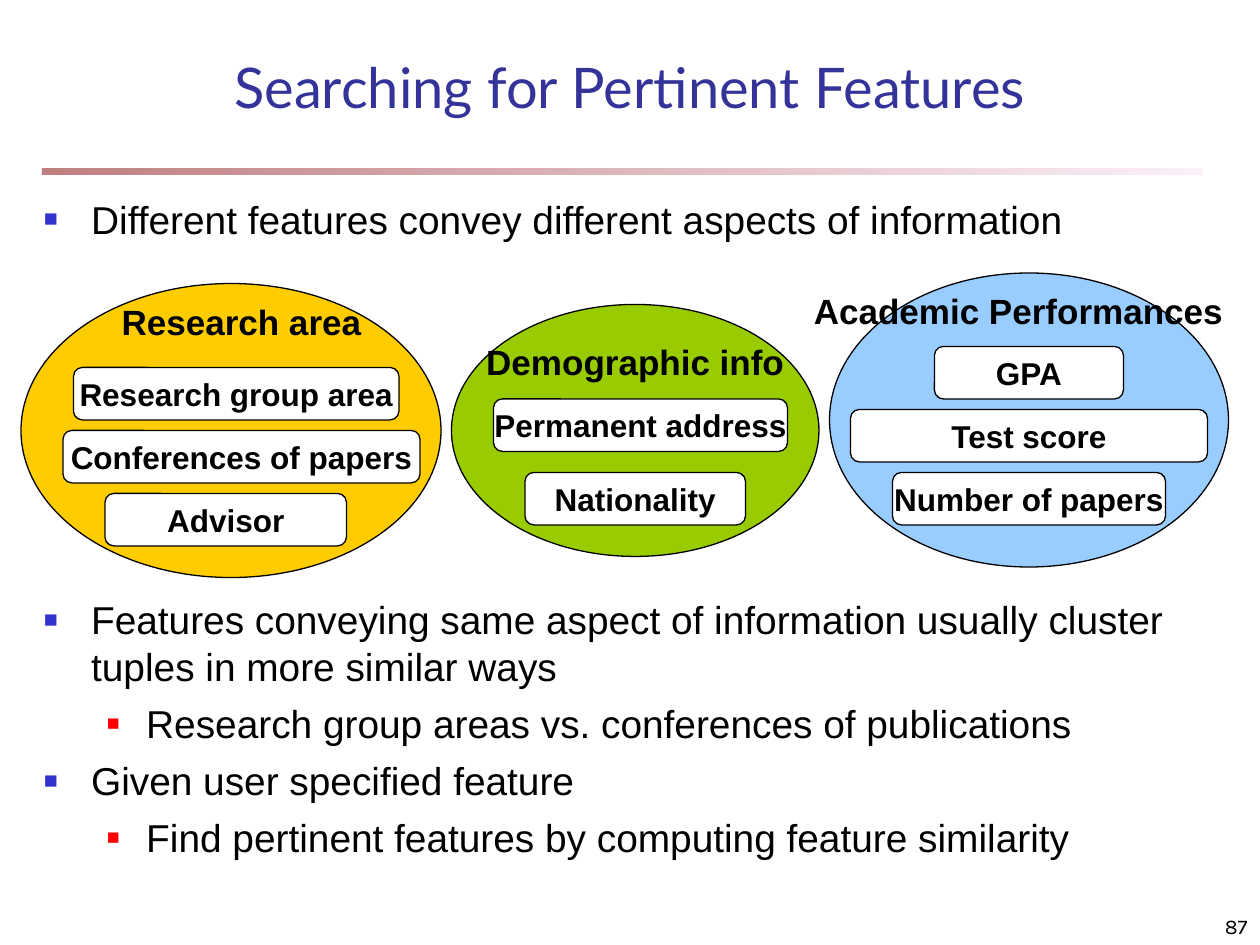
"""Build the slide on searching for pertinent features."""
from lxml.etree import SubElement
from pptx import Presentation
from pptx.dml.color import RGBColor
from pptx.enum.shapes import MSO_SHAPE as Preset
from pptx.enum.text import MSO_ANCHOR as Anchor, PP_ALIGN as Align
from pptx.oxml.ns import qn
from pptx.util import Pt

BLACK = RGBColor(0x00, 0x00, 0x00)
WHITE = RGBColor(0xFF, 0xFF, 0xFF)
NAVY = RGBColor(0x33, 0x33, 0x99)
BLUE = RGBColor(0x33, 0x33, 0xCC)
RED = RGBColor(0xFF, 0x00, 0x00)
MAROON = RGBColor(0x80, 0x00, 0x00)
PINK = RGBColor(0xFA, 0xE2, 0xF6)
GOLD = RGBColor(0xFF, 0xCC, 0x00)
GREEN = RGBColor(0x99, 0xCC, 0x00)
SKY = RGBColor(0x99, 0xCC, 0xFF)

TITLE = {"size": Pt(32), "name": "Lato"}
BODY = {"size": Pt(22.2), "name": "Arial"}
HEADING = {"size": Pt(20), "name": "Arial", "bold": True}
LABEL = {"size": Pt(18), "name": "Arial", "bold": True}
NUMBER = {"size": Pt(12), "name": "Karla"}
LEVELS = [
    {"color": BLUE, "percent": 60, "left": 27, "hanging": 27},
    {"color": RED, "percent": 55, "left": 58.5, "hanging": 22.5},
]


def write(para, text, formats, color=BLACK, align=Align.LEFT):
    para.alignment = align
    span = para.add_run()
    span.text = text
    for name, value in formats.items():
        setattr(span.font, name, value)
    span.font.color.rgb = color


def add_solid(shapes, preset, bounds, color):
    shape = shapes.add_shape(preset, *map(Pt, bounds))
    shape.shadow.inherit = False
    shape.fill.solid()
    shape.fill.fore_color.rgb = color
    shape.line.color.rgb = BLACK
    shape.line.width = Pt(0.75)
    return shape


deck = Presentation()
deck.slide_width, deck.slide_height = Pt(720), Pt(540)
page = deck.slides.add_slide(deck.slide_layouts[6])

rule = page.shapes.add_shape(Preset.RECTANGLE, Pt(24), Pt(96), Pt(662.4), Pt(4))
rule.shadow.inherit = False
rule.line.fill.background()
rule.fill.gradient()
rule.fill.gradient_angle = 0
for stop, color, position in zip(rule.fill.gradient_stops, (MAROON, PINK), (0, 1)):
    stop.color.rgb = color
    stop.position = position
for tint in rule._element.spPr.iter(qn("a:srgbClr")):
    SubElement(tint, qn("a:alpha"), val="50000")

singles = [
    ((12, 24, 696, 48), "Searching for Pertinent Features", TITLE, NAVY, Align.CENTER),
    ((570, 510, 150, 30), "87", NUMBER, BLACK, Align.RIGHT),
]
for bounds, text, formats, color, align in singles:
    box = page.shapes.add_textbox(*map(Pt, bounds))
    box.text_frame.word_wrap = True
    box.text_frame.vertical_anchor = Anchor.BOTTOM
    write(box.text_frame.paragraphs[0], text, formats, color, align)

bullet_boxes = [
    ((18, 108, 684, 40), [(0, "Different features convey different aspects of information")]),
    ((18, 337, 684, 173), [
        (0, "Features conveying same aspect of information usually cluster tuples in more similar ways"),
        (1, "Research group areas vs. conferences of publications"),
        (0, "Given user specified feature"),
        (1, "Find pertinent features by computing feature similarity"),
    ]),
]
for bounds, bullets in bullet_boxes:
    frame = page.shapes.add_textbox(*map(Pt, bounds)).text_frame
    frame.word_wrap = True
    for index, (level, text) in enumerate(bullets):
        para = frame.add_paragraph() if index else frame.paragraphs[0]
        write(para, text, BODY)
        para.level = level
        para.space_before = Pt(6)
        style = LEVELS[level]
        props = para._p.get_or_add_pPr()
        props.set("marL", str(Pt(style["left"])))
        props.set("indent", str(-Pt(style["hanging"])))
        tint = SubElement(props, qn("a:buClr"))
        SubElement(tint, qn("a:srgbClr"), val=str(style["color"]))
        SubElement(props, qn("a:buSzPct"), val=str(style["percent"] * 1000))
        SubElement(props, qn("a:buFont"), typeface="Arial")
        SubElement(props, qn("a:buChar"), char="■")

clusters = [
    (GOLD, (12, 162, 240, 168), "Research area", (54, 168, 168, 32), [
        ("Research group area", 42, 210, 186),
        ("Conferences of papers", 36, 246, 204),
        ("Advisor", 60, 282, 138),
    ]),
    (SKY, (474, 156, 228, 168), "Academic Performances", (456, 162, 252, 32), [
        ("GPA", 534, 198, 108),
        ("Test score", 486, 234, 204),
        ("Number of papers", 510, 270, 156),
    ]),
    (GREEN, (258, 174, 210, 144), "Demographic info", (264, 191, 198, 32), [
        ("Permanent address", 282, 228, 168),
        ("Nationality", 300, 270, 126),
    ]),
]
for color, oval, heading, heading_bounds, features in clusters:
    shapes = page.shapes.add_group_shape().shapes
    add_solid(shapes, Preset.OVAL, oval, color)
    for text, left, top, width in features:
        card = add_solid(shapes, Preset.ROUNDED_RECTANGLE, (left, top, width, 30), WHITE)
        card.adjustments[0] = 0.17
        card.text_frame.word_wrap = False
        card.text_frame.vertical_anchor = Anchor.MIDDLE
        write(card.text_frame.paragraphs[0], text, LABEL, align=Align.CENTER)
    box = shapes.add_textbox(*map(Pt, heading_bounds))
    box.text_frame.word_wrap = True
    write(box.text_frame.paragraphs[0], heading, HEADING, align=Align.CENTER)

deck.save("out.pptx")
